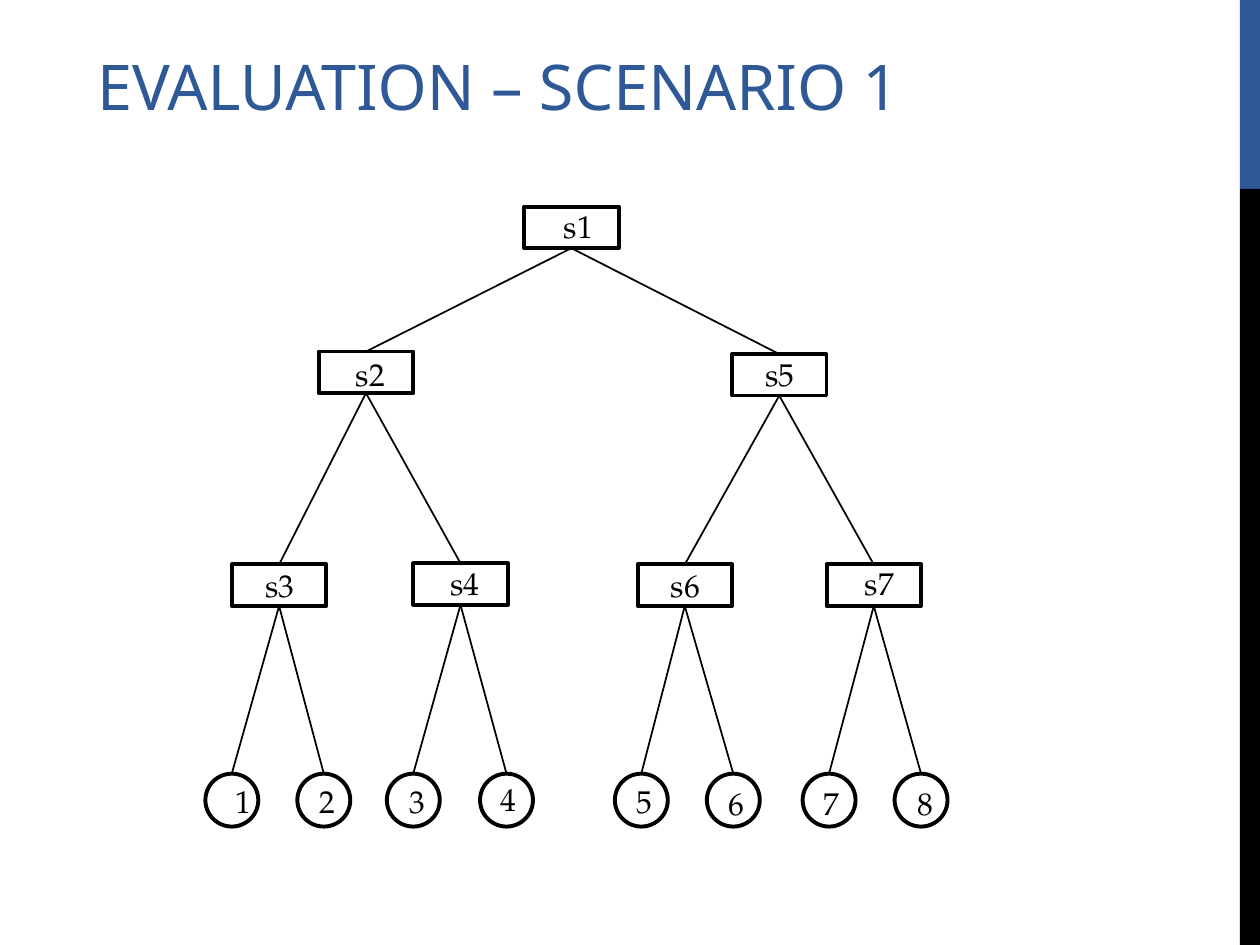
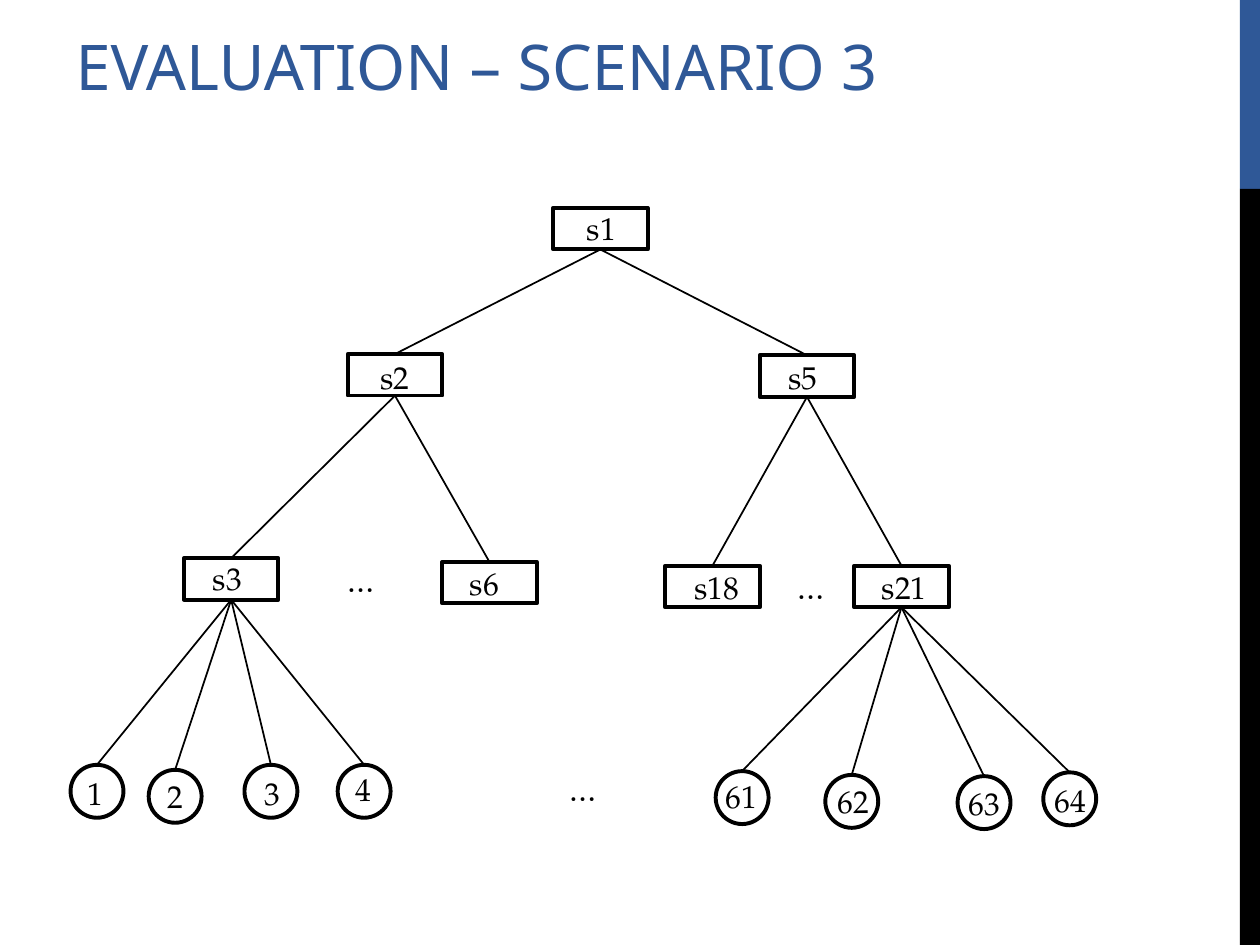
from dataclasses import dataclass

from lxml import etree
from pptx import Presentation
from pptx.dml.color import RGBColor
from pptx.enum import shapes, text
from pptx.oxml import ns
from pptx.util import Inches, Pt


@dataclass(frozen=True)
class Theme:
    blue = RGBColor(0x2F, 0x58, 0x97)
    black = RGBColor(0, 0, 0)
    white = RGBColor(255, 255, 255)
    title_font = "Noto Sans"
    label_font = "TeX Gyre Pagella"
    title_size = Pt(36)
    label_size = Pt(18)
    outline = Pt(2.25)
    edge = Pt(1)


THEME = Theme()
SWITCH_SIZE = (0.75, 0.33)
HOST_SIZE = (0.42, 0.42)
LABEL_HEIGHT = 0.4
BANDS = [(0, 1.5, THEME.blue), (1.5, 6, THEME.black)]  # top, height, colour
BAND_LEFT, BAND_WIDTH = 9.84, 0.16

# Switches and hosts: name, parent, (left, top), label (left, top, width).
# Dots: label (left, top, width).
SCENARIOS = [
    {
        "title": "EVALUATION – SCENARIO 1",
        "title_at": (0.67, 0.33),
        "align": text.PP_ALIGN.CENTER,
        "switches": [
            ("s1", None, (4.16, 1.64), (4.34, 1.59, 0.5)),
            ("s2", "s1", (2.53, 2.79), (2.69, 2.77, 0.5)),
            ("s5", "s1", (5.81, 2.81), (5.94, 2.77, 0.5)),
            ("s3", "s2", (1.84, 4.48), (1.97, 4.44, 0.5)),
            ("s4", "s2", (3.28, 4.47), (3.44, 4.43, 0.5)),
            ("s6", "s5", (5.06, 4.48), (5.19, 4.44, 0.5)),
            ("s7", "s5", (6.56, 4.48), (6.73, 4.43, 0.5)),
        ],
        "hosts": [
            ("1", "s3", (1.63, 6.14), (1.68, 6.16, 0.5)),
            ("2", "s3", (2.36, 6.14), (2.41, 6.16, 0.37)),
            ("3", "s4", (3.07, 6.14), (3.13, 6.16, 0.37)),
            ("4", "s4", (3.81, 6.14), (3.85, 6.14, 0.37)),
            ("5", "s6", (4.88, 6.14), (4.93, 6.16, 0.37)),
            ("6", "s6", (5.61, 6.14), (5.66, 6.17, 0.37)),
            ("7", "s7", (6.37, 6.14), (6.41, 6.17, 0.37)),
            ("8", "s7", (7.1, 6.14), (7.16, 6.17, 0.37)),
        ],
        "dots": [],
    },
    {
        "title": "EVALUATION – SCENARIO 3",
        "title_at": (0.5, 0.17),
        "align": text.PP_ALIGN.LEFT,
        "switches": [
            ("s1", None, (4.39, 1.65), (4.56, 1.61, 0.5)),
            ("s2", "s1", (2.76, 2.81), (2.92, 2.79, 0.5)),
            ("s5", "s1", (6.03, 2.82), (6.16, 2.79, 0.5)),
            ("s3", "s2", (1.46, 4.43), (1.59, 4.39, 0.5)),
            ("s6", "s2", (3.51, 4.46), (3.63, 4.43, 0.5)),
            ("s18", "s5", (5.28, 4.49), (5.41, 4.46, 0.62)),
            ("s21", "s5", (6.78, 4.49), (6.9, 4.46, 0.64)),
        ],
        "hosts": [
            ("1", "s3", (0.56, 6.07), (0.6, 6.09, 0.5)),
            ("2", "s3", (1.18, 6.11), (1.23, 6.12, 0.37)),
            ("3", "s3", (1.94, 6.07), (2, 6.09, 0.37)),
            ("4", "s3", (2.68, 6.07), (2.72, 6.06, 0.37)),
            ("61", "s21", (5.68, 6.12), (5.66, 6.12, 0.56)),
            ("62", "s21", (6.55, 6.15), (6.55, 6.16, 0.57)),
            ("63", "s21", (7.6, 6.16), (7.59, 6.17, 0.48)),
            ("64", "s21", (8.28, 6.13), (8.27, 6.15, 0.52)),
        ],
        "dots": [(2.66, 4.4, 0.57), (6.23, 4.46, 0.57), (4.42, 6.06, 0.55)],
    },
]


def write(frame, words, font, size, color, align):
    frame.word_wrap = True
    frame.vertical_anchor = text.MSO_ANCHOR.TOP
    paragraph = frame.paragraphs[0]
    paragraph.alignment = align
    run = paragraph.add_run()
    run.text = words
    run.font.name, run.font.size = font, size
    run.font.color.rgb = color


def add_filled(slide, kind, left, top, width, height, color):
    shape = slide.shapes.add_shape(kind, *map(Inches, (left, top, width, height)))
    shape.shadow.inherit = False
    shape.fill.solid()
    shape.fill.fore_color.rgb = color
    return shape


def add_bands(slide):
    """Draw the side bands and move them to the layout, which all slides share."""
    for top, height, color in BANDS:
        band = add_filled(slide, shapes.MSO_SHAPE.RECTANGLE,
                          BAND_LEFT, top, BAND_WIDTH, height, color)
        band.line.fill.background()
        slide.slide_layout.shapes.element.append(band.element)


def add_title(slide, words, at):
    title = slide.shapes.title
    title.left, title.top = map(Inches, at)
    title.width, title.height = Inches(6.75), Inches(1.5)
    title.text_frame.auto_size = text.MSO_AUTO_SIZE.NONE
    write(title.text_frame, words, THEME.title_font, THEME.title_size,
          THEME.blue, text.PP_ALIGN.LEFT)


def add_node(slide, kind, at, size):
    node = add_filled(slide, kind, *at, *size, THEME.white)
    node.line.color.rgb = THEME.black
    node.line.width = THEME.outline
    return node


def add_edge(slide, parent, child):
    """Join the bottom of the parent to the top of the child."""
    edge = slide.shapes.add_connector(shapes.MSO_CONNECTOR.STRAIGHT, 0, 0, 0, 0)
    edge.begin_connect(parent, 2)
    edge.end_connect(child, 0)
    edge.line.color.rgb = THEME.black
    edge.line.width = THEME.edge
    etree.SubElement(edge.element.spPr, ns.qn("a:effectLst"))


def add_label(slide, words, left, top, width, align):
    label = slide.shapes.add_textbox(*map(Inches, (left, top, width, LABEL_HEIGHT)))
    label.text_frame.auto_size = text.MSO_AUTO_SIZE.SHAPE_TO_FIT_TEXT
    write(label.text_frame, words, THEME.label_font, THEME.label_size,
          THEME.black, align)


def add_tree(slide, scenario):
    levels = [
        (scenario["switches"], shapes.MSO_SHAPE.RECTANGLE, SWITCH_SIZE),
        (scenario["hosts"], shapes.MSO_SHAPE.OVAL, HOST_SIZE),
    ]
    nodes = {name: add_node(slide, kind, at, size)
             for members, kind, size in levels
             for name, _, at, _ in members}
    members = scenario["switches"] + scenario["hosts"]
    for name, parent, _, _ in members:
        if parent:
            add_edge(slide, nodes[parent], nodes[name])
    labels = [(name, label) for name, _, _, label in members]
    labels += [("…", label) for label in scenario["dots"]]
    for words, label in labels:
        add_label(slide, words, *label, scenario["align"])


def main():
    deck = Presentation()
    deck.slide_width, deck.slide_height = Inches(10), Inches(7.5)
    title_only = deck.slide_layouts[5]
    for number, scenario in enumerate(SCENARIOS):
        slide = deck.slides.add_slide(title_only)
        if number == 0:
            add_bands(slide)
        add_title(slide, scenario["title"], scenario["title_at"])
        add_tree(slide, scenario)
    deck.save("out.pptx")


if __name__ == "__main__":
    main()
